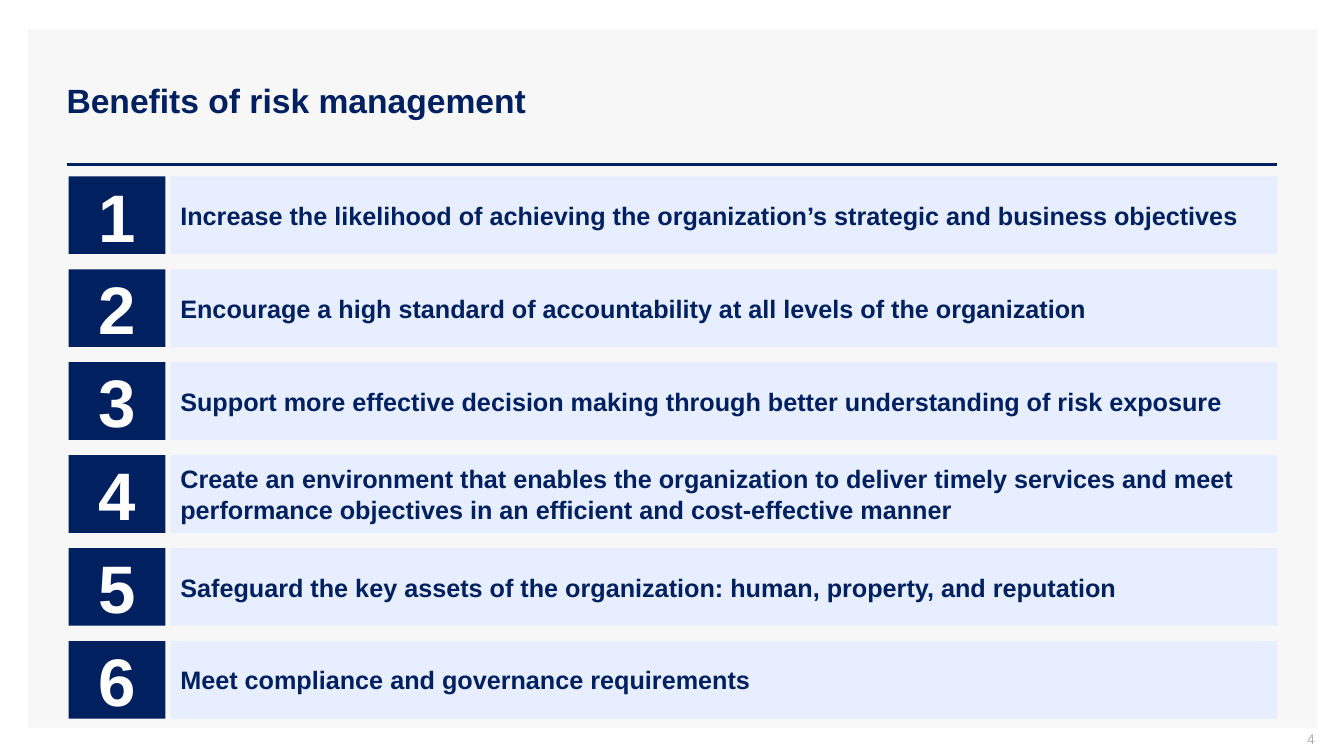
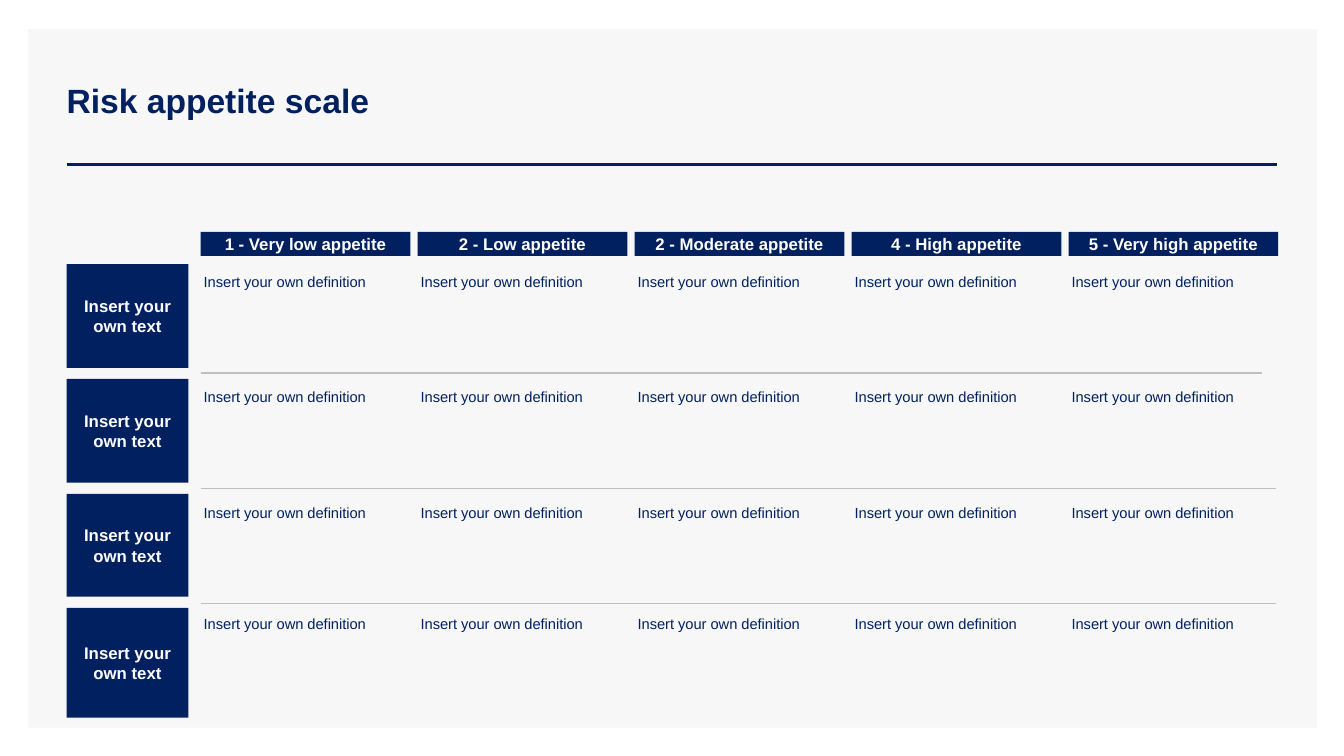
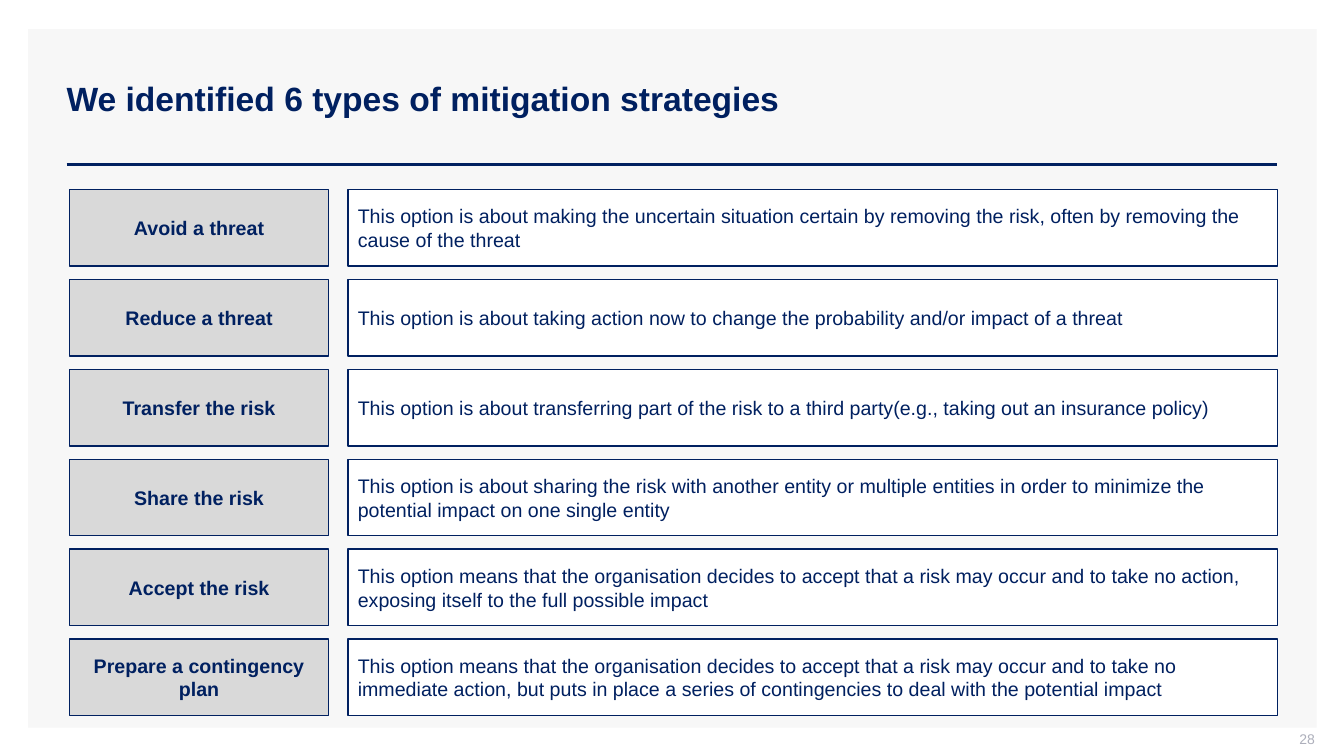
"""Builds three risk management slides: benefits, appetite scale, strategies."""
from lxml.etree import SubElement
from pptx import Presentation
from pptx.dml.color import RGBColor
from pptx.enum.shapes import MSO_CONNECTOR as Link, MSO_SHAPE as Shape
from pptx.enum.text import MSO_ANCHOR as Anchor, PP_ALIGN as Align
from pptx.oxml.ns import qn
from pptx.util import Inches, Pt

NAVY = RGBColor(0x00, 0x20, 0x60)
WHITE = RGBColor(0xFF, 0xFF, 0xFF)
PANEL = RGBColor(0xF7, 0xF7, 0xF7)
PALE = RGBColor(0xE7, 0xEE, 0xFF)
GREY = RGBColor(0xD9, 0xD9, 0xD9)
RULE = RGBColor(0xBF, 0xBF, 0xBF)
FAINT = RGBColor(0xAD, 0xAF, 0xBB)
FONT = "Arial"
LEFT, RIGHT = 0.66, 12.67
INSET = (0.1, 0.05, 0.1, 0.05)
TIGHT = (0.06, 0.06, 0.06, 0.06)
NONE = (0, 0, 0, 0)

GAINS = [
    "Increase the likelihood of achieving the organization’s strategic and business objectives",
    "Encourage a high standard of accountability at all levels of the organization",
    "Support more effective decision making through better understanding of risk exposure",
    "Create an environment that enables the organization to deliver timely services and meet "
    "performance objectives in an efficient and cost-effective manner",
    "Safeguard the key assets of the organization: human, property, and reputation",
    "Meet compliance and governance requirements",
]
LEVELS = ["1 - Very low appetite", "2 - Low appetite", "2 - Moderate appetite",
          "4 - High appetite", "5 - Very high appetite"]
LABEL = "Insert your own text"
NOTE = "Insert your own definition"
BANDS = [(2.62, 1.03, 2.71), (3.76, 1.03, 3.85), (4.9, 1.02, 5), (6.03, 1.09, 6.1)]
ENDS = [12.52, 12.66, 12.66]
PLANS = [
    ("Avoid a threat",
     "This option is about making the uncertain situation certain by removing the risk, "
     "often by removing the cause of the threat"),
    ("Reduce a threat",
     "This option is about taking action now to change the probability and/or impact of a threat"),
    ("Transfer the risk",
     "This option is about transferring part of the risk to a third party"
     "(e.g., taking out an insurance policy)"),
    ("Share the risk",
     "This option is about sharing the risk with another entity or multiple entities "
     "in order to minimize the potential impact on one single entity"),
    ("Accept the risk",
     "This option means that the organisation decides to accept that a risk may occur and "
     "to take no action, exposing itself to the full possible impact"),
    ("Prepare a contingency plan",
     "This option means that the organisation decides to accept that a risk may occur and "
     "to take no immediate action, but puts in place a series of contingencies to deal with "
     "the potential impact"),
]


def write(shape, text, size, color, bold=False, align=Align.LEFT, inset=INSET,
          anchor=Anchor.MIDDLE, wrap=True):
    frame = shape.text_frame
    frame.word_wrap = wrap
    frame.vertical_anchor = anchor
    (frame.margin_left, frame.margin_top,
     frame.margin_right, frame.margin_bottom) = map(Inches, inset)
    para = frame.paragraphs[0]
    para.alignment = align
    run = para.add_run()
    run.text = text
    font = run.font
    font.name, font.size, font.bold = FONT, Pt(size), bold
    font.color.rgb = color
    return para


def box(slide, at, fill, line=None):
    shape = slide.shapes.add_shape(Shape.RECTANGLE, *map(Inches, at))
    shape.shadow.inherit = False
    shape.fill.solid()
    shape.fill.fore_color.rgb = fill
    if line is None:
        shape.line.fill.background()
    else:
        shape.line.color.rgb = line
        shape.line.width = Pt(1)
    return shape


def rule(slide, start, end, y, color, width):
    line = slide.shapes.add_connector(Link.STRAIGHT, *map(Inches, (start, y, end, y)))
    line.line.color.rgb = color
    line.line.width = Pt(width)
    SubElement(line.element.spPr, qn("a:effectLst"))
    return line


def label(slide, at, *args, **style):
    return write(slide.shapes.add_textbox(*map(Inches, at)), *args, **style)


def frame(slide):
    """Moves the shared panel, rule and title place onto the layout."""
    layout = slide.slide_layout
    parts = [box(slide, (0.28, 0.29, 12.78, 6.93), PANEL),
             rule(slide, LEFT, RIGHT, 1.63, NAVY, 2)]
    for spot, part in enumerate(parts, 2):
        layout.shapes.element.insert(spot, part.element)
    head = layout.placeholders[0]
    head.left, head.top, head.width, head.height = map(Inches, (0.56, 0.4, 12.11, 1.19))


def start(deck, title, page=None, space=1.0):
    slide = deck.slides.add_slide(deck.slide_layouts[5])
    para = write(slide.shapes.title, title, 24, NAVY, True)
    para.line_spacing = space
    if page:
        label(slide, (10.04, 7.25, 3, 0.21), page, 10, FAINT,
              align=Align.RIGHT, inset=(0.1, 0, 0, 0.05))
    return slide


def gains(deck):
    slide = start(deck, "Benefits of risk management", "4")
    frame(slide)
    for row, text in enumerate(GAINS):
        top = 1.75 + row * 0.922
        write(box(slide, (0.68, top, 0.96, 0.77), NAVY), str(row + 1), 48, WHITE, True,
              Align.CENTER)
        write(box(slide, (1.69, top, 10.98, 0.77), PALE), text, 18, NAVY, True)


def scale(deck):
    slide = start(deck, "Risk appetite scale")
    lefts = [1.99 + col * 2.152 for col in range(len(LEVELS))]
    for left, level in zip(lefts, LEVELS):
        write(box(slide, (left, 2.3, 2.08, 0.24), NAVY), level, 12, WHITE, True,
              Align.CENTER, TIGHT, wrap=False)
    for top, high, line in BANDS:
        write(box(slide, (LEFT, top, 1.21, high), NAVY), LABEL, 12, WHITE, True,
              Align.CENTER, TIGHT)
        for left in lefts:
            para = label(slide, (left + 0.03, line, 2.08, 0.18), NOTE, 10.5, NAVY,
                         inset=NONE, anchor=Anchor.TOP)
            para.space_before = para.space_after = Pt(1)
    for row, end in enumerate(ENDS):
        rule(slide, lefts[0], end, 3.7 + row * 1.145, RULE, 1)


def plans(deck):
    slide = start(deck, "We identified 6 types of mitigation strategies", "28", 0.9)
    for row, (name, text) in enumerate(PLANS):
        top = 1.88 + row * 0.892
        write(box(slide, (0.69, top, 2.57, 0.76), GREY, NAVY), name, 14, NAVY, True,
              Align.CENTER)
        write(box(slide, (3.45, top, 9.22, 0.76), WHITE, NAVY), text, 14, NAVY)


def main():
    deck = Presentation()
    deck.slide_width, deck.slide_height = Inches(13.33), Inches(7.5)
    for build in (gains, scale, plans):
        build(deck)
    deck.save("out.pptx")


if __name__ == "__main__":
    main()
